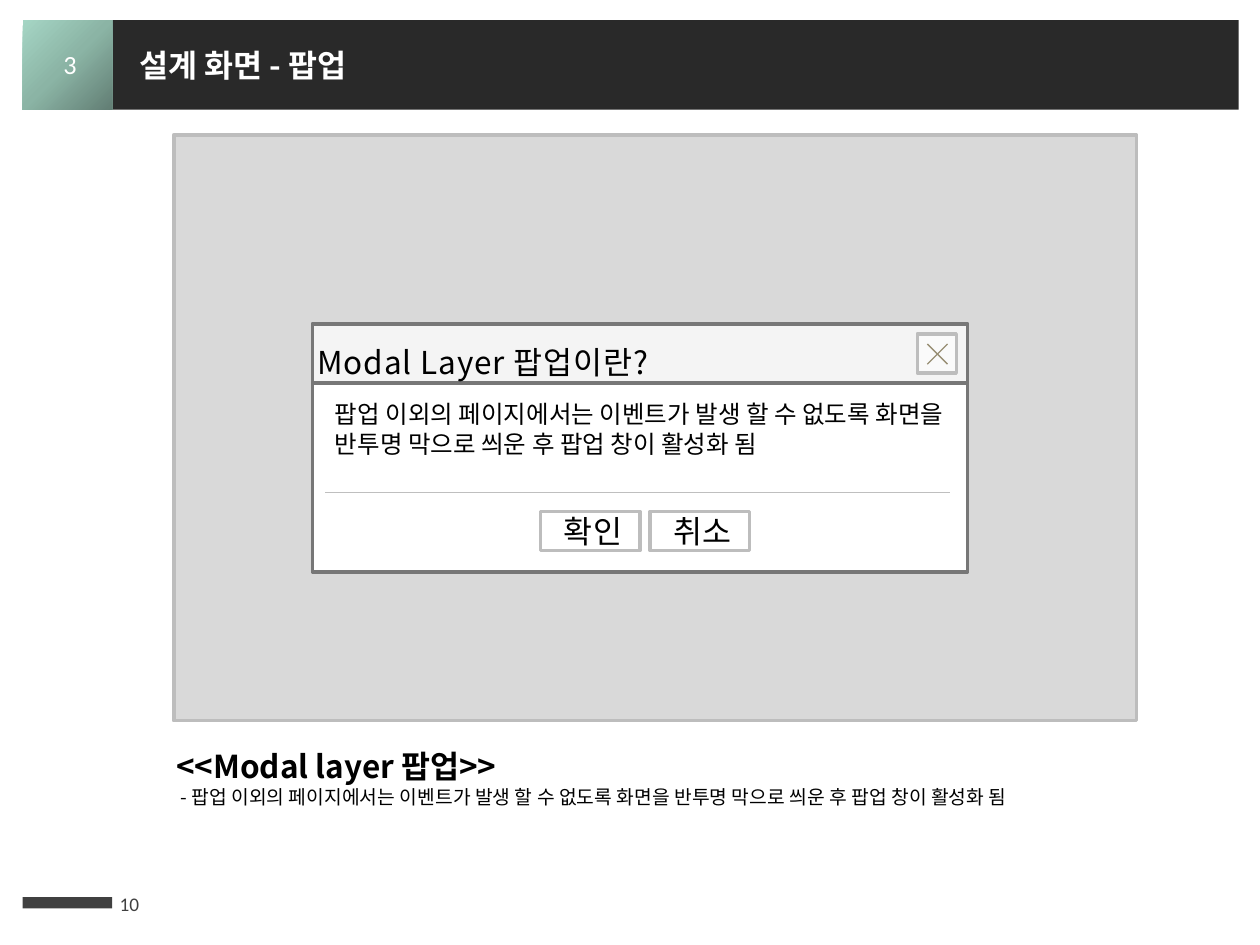
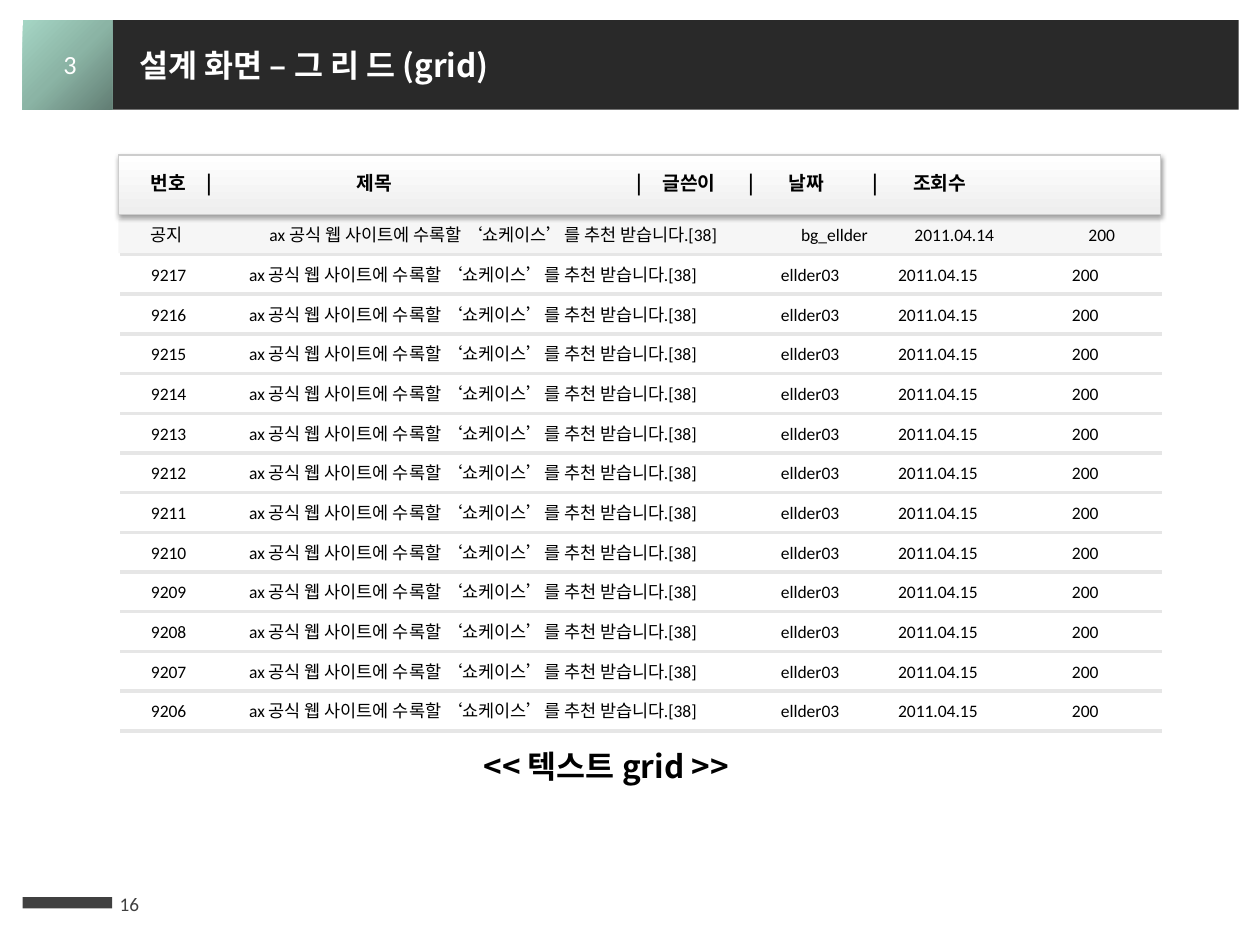
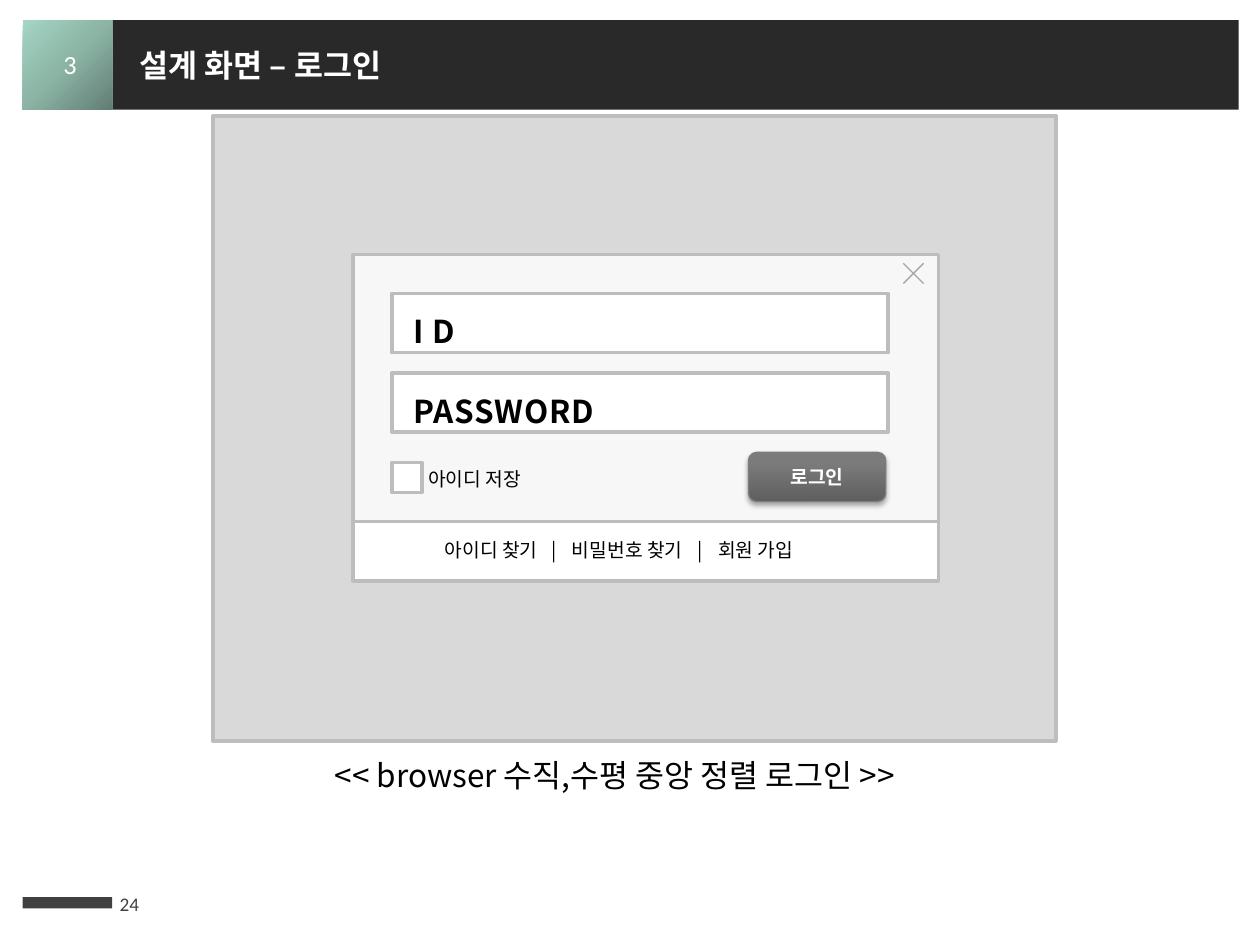
from lxml import etree
from pptx import Presentation
from pptx.dml.color import RGBColor
from pptx.enum.shapes import MSO_CONNECTOR as CONN, MSO_SHAPE as SHAPE
from pptx.enum.text import MSO_ANCHOR as ANCHOR, MSO_AUTO_SIZE as AUTO, PP_ALIGN as ALIGN
from pptx.oxml import parse_xml
from pptx.oxml.ns import nsdecls, qn
from pptx.util import Inches, Pt

KR, LATIN = "Noto Sans CJK KR", "Calibri"
BLACK, WHITE, DARK, FOOT = "000000", "FFFFFF", "292929", "404040"
BACKDROP, BORDER, FRAME = "D9D9D9", "BDBDBD", "777777"
BADGE = [(0, "627E74"), (50, "8BB4A5"), (100, "A5D5C4")]
FIELD = (0.04, 0, 0, 0)


def rgb(color):
    return RGBColor.from_string(color)


def sub(parent, tag, **attrs):
    return etree.SubElement(parent, qn(tag), {k: str(v) for k, v in attrs.items()})


def write(tf, text, size=18, font=KR, color=BLACK, bold=False, align=ALIGN.LEFT,
          spacing=None, tracking=None, tabs=()):
    """Fill the last paragraph of a frame, adding one if it is in use."""
    p = tf.paragraphs[-1]
    if p.runs:
        p = tf.add_paragraph()
    p.alignment = align
    if spacing:
        p.line_spacing = spacing
    if tabs:
        stops = sub(p._p.get_or_add_pPr(), "a:tabLst")
        for pos in tabs:
            sub(stops, "a:tab", pos=Inches(pos), algn="l")
    r = p.add_run()
    r.text = text
    r.font.size, r.font.bold, r.font.name = Pt(size), bold, font
    r.font.color.rgb = rgb(color)
    rPr = r._r.get_or_add_rPr()
    sub(rPr, "a:ea", typeface=KR)
    if tracking:
        rPr.set("spc", str(int(tracking * 100)))


class Deck:
    def __init__(self):
        self.prs = Presentation()
        self.prs.slide_width, self.prs.slide_height = Inches(10), Inches(7.5)
        self.s = None

    def slide(self, title, page):
        """Start a slide with the shared band, badge and footer."""
        self.s = self.prs.slides.add_slide(self.prs.slide_layouts[6])
        self.box(0.89, 0.16, 8.94, 0.71, DARK)
        badge = self.box(0.18, 0.16, 0.71, 0.71, WHITE)
        self.gradient(badge, BADGE, '<a:path path="circle">'
                      '<a:fillToRect l="100000" t="100000"/></a:path>')
        self.box(0.18, 7.12, 0.71, 0.09, FOOT)
        self.text(0.85, 6.97, 0.59, 0.4, str(page), grow=False, anchor=ANCHOR.MIDDLE,
                  size=11, font=LATIN, color=FOOT)
        self.text(1.01, 0.32, 6.99, 0.4, title, color=WHITE, bold=True)
        self.text(0.28, 0.33, 0.55, 0.35, "3", size=15, font=LATIN, color=WHITE,
                  align=ALIGN.CENTER)

    def box(self, x, y, w, h, fill, line=None, width=2, kind=SHAPE.RECTANGLE, alpha=None,
            text=None, inset=None, anchor=ANCHOR.TOP, **fmt):
        sp = self.s.shapes.add_shape(kind, Inches(x), Inches(y), Inches(w), Inches(h))
        sp.shadow.inherit = False
        sp.fill.solid()
        sp.fill.fore_color.rgb = rgb(fill)
        if alpha:
            clr = sp._element.spPr.find(qn("a:solidFill")).find(qn("a:srgbClr"))
            sub(clr, "a:alpha", val=alpha * 1000)
        if line:
            sp.line.color.rgb, sp.line.width = rgb(line), Pt(width)
        else:
            sp.line.fill.background()
        if text:
            tf = sp.text_frame
            tf.word_wrap, tf.vertical_anchor = True, anchor
            if inset:
                (tf.margin_left, tf.margin_top,
                 tf.margin_right, tf.margin_bottom) = map(Inches, inset)
            write(tf, text, **fmt)
        return sp

    def gradient(self, sp, stops, direction='<a:lin ang="16200000" scaled="0"/>'):
        gs = "".join(f'<a:gs pos="{pos * 1000}"><a:srgbClr val="{color}"/></a:gs>'
                     for pos, color in stops)
        spPr = sp._element.spPr
        spPr.replace(spPr.find(qn("a:solidFill")), parse_xml(
            f'<a:gradFill {nsdecls("a")} rotWithShape="1">'
            f'<a:gsLst>{gs}</a:gsLst>{direction}</a:gradFill>'))

    def shadow(self, sp, alpha, blur, dist):
        effects = sp._element.spPr.find(qn("a:effectLst"))
        shadow = sub(effects, "a:outerShdw", blurRad=Pt(blur), dist=Pt(dist),
                     dir=5400000, rotWithShape=0)
        sub(sub(shadow, "a:srgbClr", val=BLACK), "a:alpha", val=alpha * 1000)

    def text(self, x, y, w, h, text, grow=True, anchor=ANCHOR.TOP, **fmt):
        box = self.s.shapes.add_textbox(Inches(x), Inches(y), Inches(w), Inches(h))
        tf = box.text_frame
        tf.word_wrap, tf.vertical_anchor = True, anchor
        tf.auto_size = AUTO.SHAPE_TO_FIT_TEXT if grow else AUTO.NONE
        write(tf, text, **fmt)
        return tf

    def line(self, x1, y1, x2, y2, color, width=0.75):
        cn = self.s.shapes.add_connector(CONN.STRAIGHT, Inches(x1), Inches(y1),
                                         Inches(x2), Inches(y2))
        cn.line.color.rgb, cn.line.width = rgb(color), Pt(width)
        sub(cn._element.spPr, "a:effectLst")

    def cross(self, x, y, size, color):
        self.line(x + size, y, x, y + size, color)
        self.line(x, y, x + size, y + size, color)


deck = Deck()

# Modal popup
MODAL_NOTE = "팝업 이외의 페이지에서는 이벤트가 발생 할 수 없도록 화면을 반투명 막으로 씌운 후 팝업 창이 활성화 됨"
deck.slide("설계 화면 - 팝업", 10)
deck.box(1.38, 1.07, 7.64, 4.65, BACKDROP, BORDER)
deck.box(2.48, 3.04, 5.2, 1.5, WHITE, FRAME)
deck.text(2.56, 3.12, 5.04, 0.57, MODAL_NOTE, size=14)
deck.box(2.48, 2.57, 5.2, 0.47, "F4F4F4", FRAME, text="Modal Layer 팝업이란?",
         inset=FIELD, spacing=1.5, tracking=0.5)
deck.box(7.28, 2.65, 0.31, 0.31, WHITE, BORDER, alpha=60)
deck.cross(7.36, 2.73, 0.16, "988E74")
for x, label, alpha in [(4.29, "확인", 60), (5.16, "취소", None)]:
    deck.box(x, 4.06, 0.79, 0.31, WHITE, BORDER, alpha=alpha, text=label,
             inset=FIELD, align=ALIGN.CENTER, tracking=0.5)
caption = deck.text(1.3, 5.88, 8.03, 0.59, "<<Modal layer 팝업>>", bold=True)
write(caption, " - " + MODAL_NOTE, size=11)
deck.line(2.58, 3.91, 7.54, 3.91, "BFBFBF")

# Text grid
ROW_STEP = 0.315
POST = "ax 공식 웹 사이트에 수록할 ‘쇼케이스’를 추천 받습니다.[38]"
NOTICE_TABS = (0.94, 5.16, 6.06, 7.44)
POST_TABS = (0.78, 5.0, 5.93, 7.31)
HEAD_TABS = (0.44, 1.63, 3.85, 4.06, 4.74, 5.06, 5.73, 6.05)

deck.slide("설계 화면 – 그 리 드 (grid)", 16)
deck.box(0.94, 1.74, 8.27, 0.27, "F6F6F6")
header = deck.box(0.94, 1.23, 8.27, 0.47, WHITE, "CDCDCD", 0.75)
header.rotation = 180
deck.gradient(header, [(0, WHITE), (100, "EEEEEE")])
deck.shadow(header, 38, 3.1, 1.6)
deck.text(1.1, 1.31, 7.87, 0.29, "\t|\t".join(["번호", "제목", "글쓴이", "날짜", "조회수"]),
          size=11, bold=True, tabs=HEAD_TABS)
rows = [("공지", "bg_ellder", "2011.04.14", NOTICE_TABS)]
rows += [(str(n), "ellder03", "2011.04.15", POST_TABS) for n in range(9217, 9205, -1)]
for i, (number, writer, date, tabs) in enumerate(rows):
    dy = i * ROW_STEP
    deck.line(9.22, 2.02 + dy, 0.95, 2.02 + dy, "E6E6E6", 2)
    deck.text(1.1, 1.73 + dy, 8, 0.27, "\t".join([number, POST, writer, date, "200"]),
              size=10, font=LATIN, tabs=tabs)
deck.text(3.74, 5.88, 2.76, 0.4, "<< 텍스트 grid >>", bold=True)

# Login
deck.slide("설계 화면 – 로그인", 24)
deck.box(1.69, 0.92, 6.69, 4.96, BACKDROP, BORDER)
deck.box(2.8, 2.02, 4.65, 2.13, "F7F7F7", BORDER)
for y, label in [(2.33, "I D"), (2.96, "PASSWORD")]:
    deck.box(3.11, y, 3.94, 0.47, WHITE, BORDER, text=label, inset=(0.17, 0, 0, 0),
             bold=True, spacing=1.5, tracking=0.5)
deck.cross(7.17, 2.09, 0.16, "A6A6A6")
button = deck.box(5.94, 3.59, 1.09, 0.39, FRAME, "7C7C7C", 0.75, SHAPE.ROUNDED_RECTANGLE,
                  text="로그인", anchor=ANCHOR.MIDDLE, size=11, color=WHITE, bold=True,
                  align=ALIGN.CENTER)
deck.gradient(button, [(0, "5F5F5F"), (80, "7B7B7B"), (100, "7C7C7C")])
deck.shadow(button, 35, 3.1, 1.8)
deck.box(2.8, 4.14, 4.65, 0.47, WHITE, BORDER)
deck.text(3.43, 4.22, 3.39, 0.29, "\t|\t".join(["아이디 찾기", "비밀번호 찾기", "회원 가입"]),
          size=11, tabs=(0.85, 1.01, 2.01, 2.17))
deck.box(3.11, 3.67, 0.24, 0.24, WHITE, BORDER)
deck.text(3.3, 3.66, 1.02, 0.29, "아이디 저장", size=11)
deck.text(2.56, 5.95, 5.43, 0.4, "<< browser 수직,수평 중앙 정렬 로그인 >>")

deck.prs.save("out.pptx")
